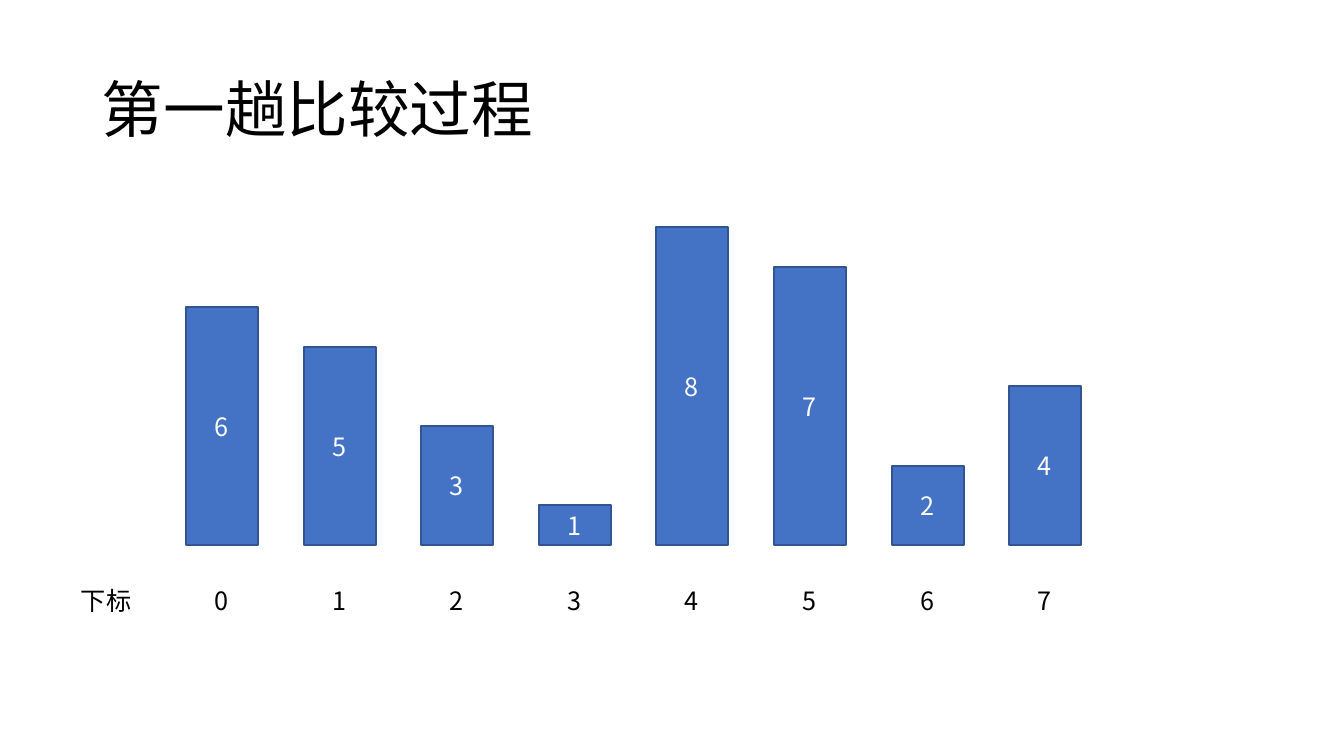
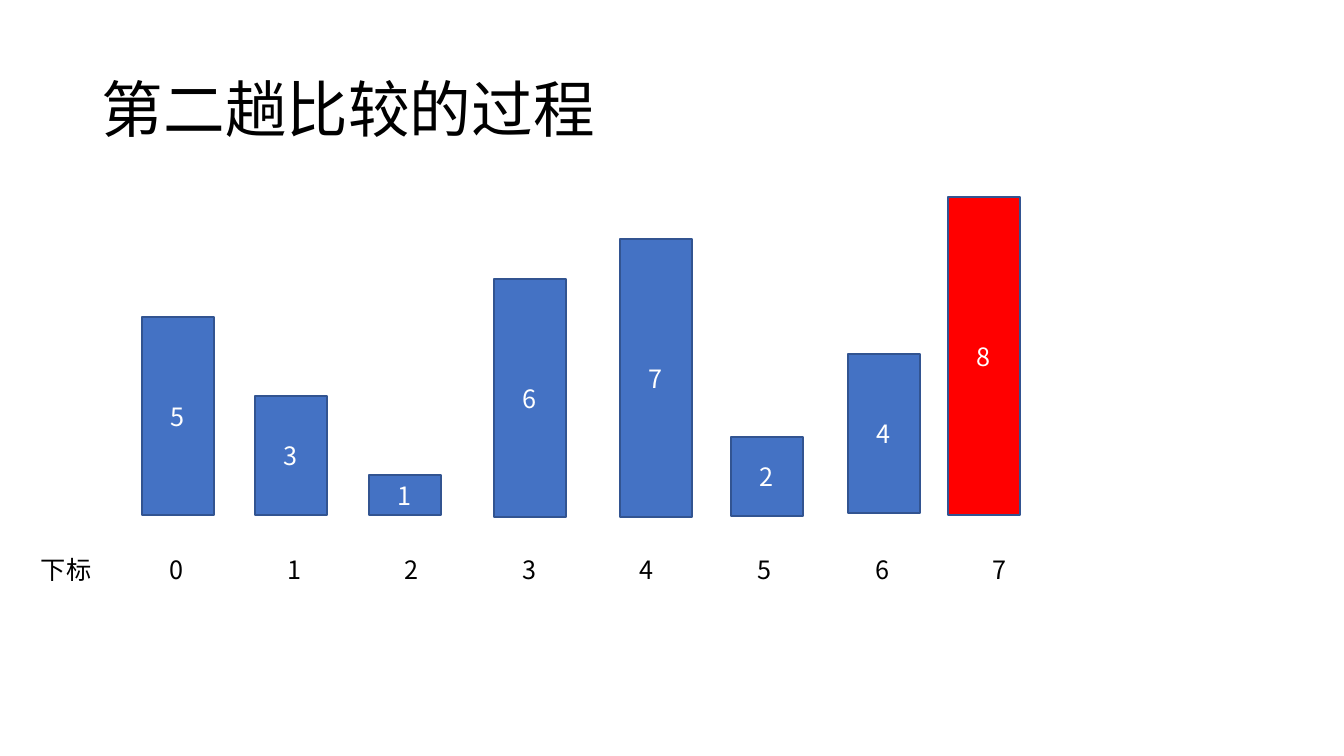
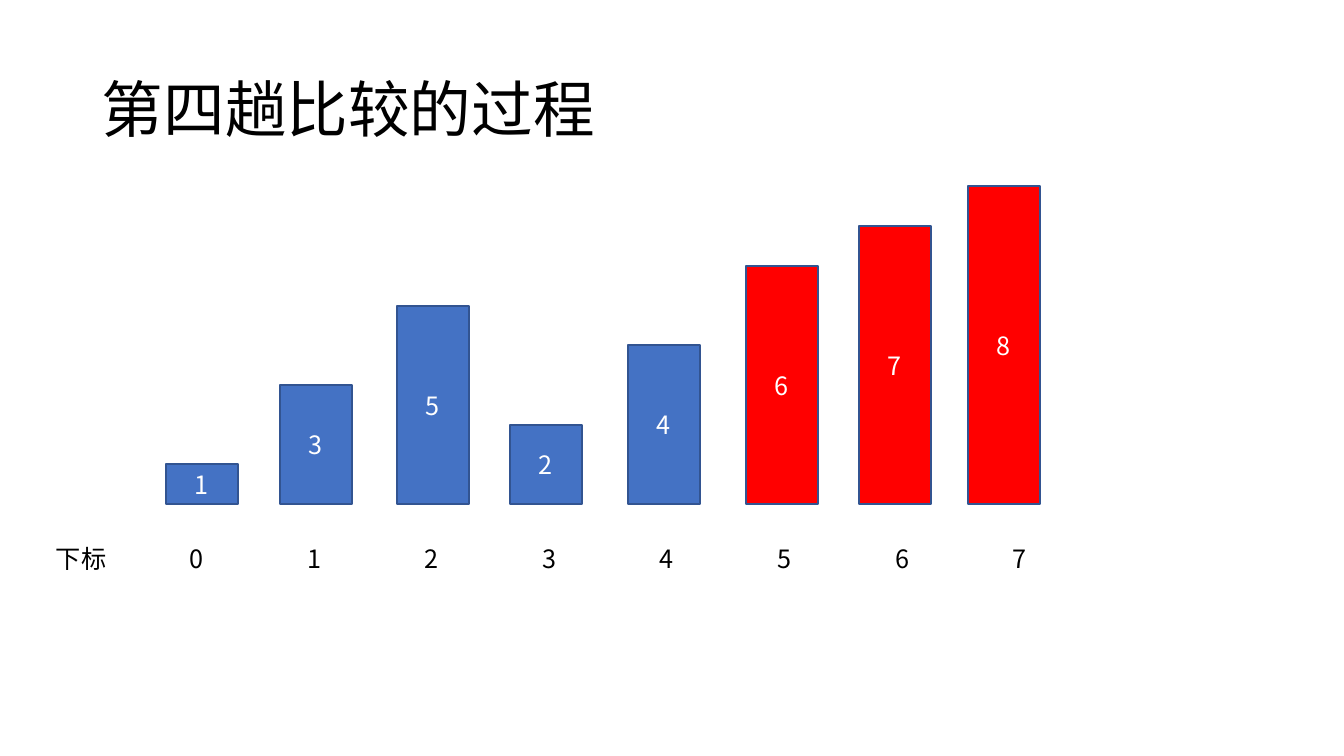
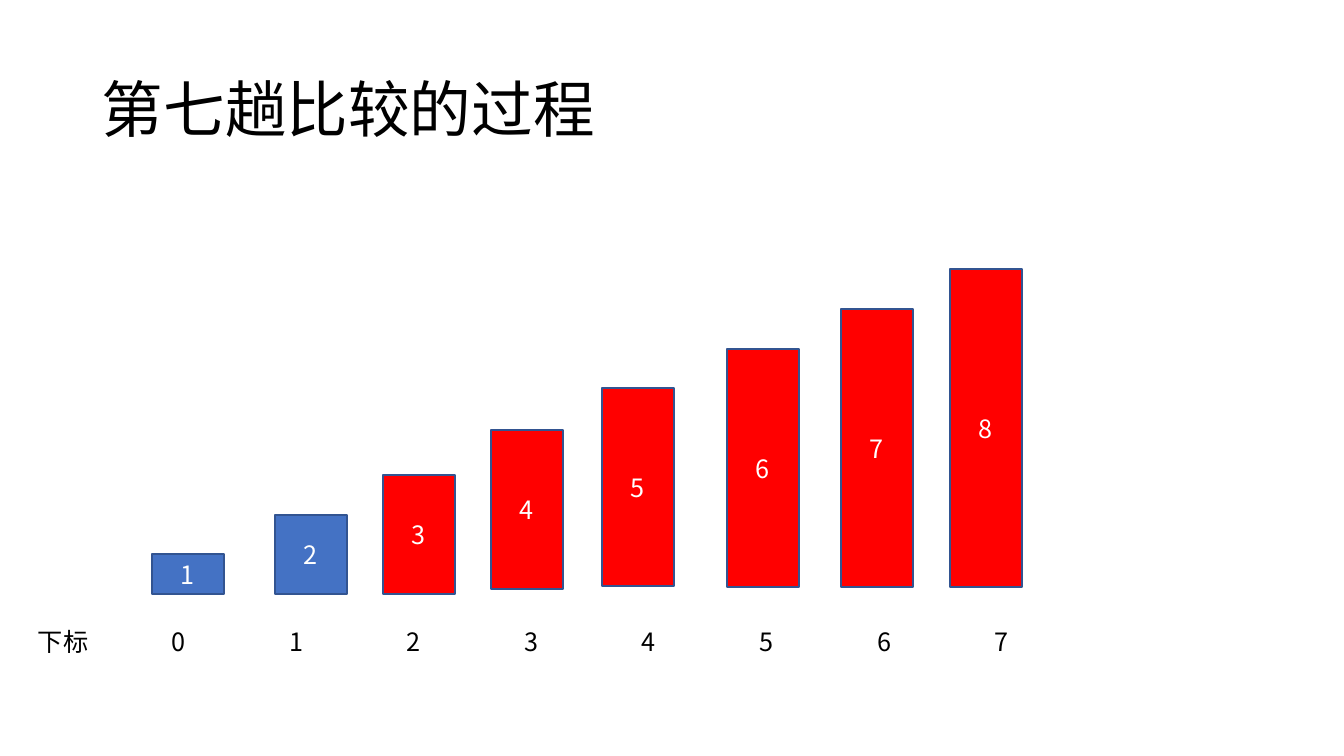
"""Build four slides that show passes of a bubble sort as rows of bars."""
from lxml.etree import SubElement
from pptx import Presentation
from pptx.dml.color import RGBColor
from pptx.enum.shapes import MSO_SHAPE
from pptx.enum.text import MSO_ANCHOR, MSO_AUTO_SIZE, PP_ALIGN
from pptx.oxml.ns import qn
from pptx.util import Pt

PIXEL = 914400 / 100.8
FONT = "Noto Sans CJK SC"
BLACK = RGBColor(0x00, 0x00, 0x00)
WHITE = RGBColor(0xFF, 0xFF, 0xFF)
BLUE = RGBColor(0x44, 0x72, 0xC4)
OUTLINE = RGBColor(0x32, 0x54, 0x91)
RED = RGBColor(0xFF, 0x00, 0x00)

BAR_WIDTH = 72
UNIT_HEIGHT = 39.7
STEP = 117.6
COUNT = 8

PASSES = [
    {"title": "第一趟比较过程", "values": (6, 5, 3, 1, 8, 7, 2, 4), "sorted": 0,
     "lefts": [round(186 + STEP * index) for index in range(COUNT)],
     "bottoms": [545] * COUNT,
     "caption_left": 71, "index_left": 205, "index_top": 580},
    {"title": "第二趟比较的过程", "values": (5, 3, 1, 6, 7, 2, 4, 8), "sorted": 1,
     "lefts": (142, 255, 369, 494, 620, 731, 848, 948),
     "bottoms": (515, 515, 515, 517, 517, 516, 513, 515),
     "caption_left": 31, "index_left": 160, "index_top": 549},
    {"title": "第四趟比较的过程", "values": (1, 3, 5, 2, 4, 6, 7, 8), "sorted": 3,
     "lefts": (166, 280, 397, 510, 628, 746, 859, 968),
     "bottoms": [504] * COUNT,
     "caption_left": 46, "index_left": 180, "index_top": 538},
    {"title": "第七趟比较的过程", "values": (1, 2, 3, 4, 5, 6, 7, 8), "sorted": 6,
     "lefts": (152, 275, 383, 491, 602, 727, 841, 950),
     "bottoms": (594, 594, 594, 589, 586, 587, 587, 587),
     "caption_left": 28, "index_left": 162, "index_top": 621},
]


def write(shape, text, size, color):
    """Put one styled line of text into a shape and return its paragraph."""
    shape.text_frame.text = text
    paragraph = shape.text_frame.paragraphs[0]
    run = paragraph.runs[0]
    run.font.size = Pt(size)
    run.font.color.rgb = color
    run.font.name = FONT
    SubElement(run._r.get_or_add_rPr(), qn("a:ea"), typeface=FONT)
    return paragraph


def add_text(slide, text, left, top, width, height, size=18):
    """Add a black text box and return it with its paragraph."""
    box = slide.shapes.add_textbox(*(round(length * PIXEL) for length in (left, top, width, height)))
    return box, write(box, text, size, BLACK)


presentation = Presentation()
presentation.slide_width = round(1344 * PIXEL)
presentation.slide_height = round(756 * PIXEL)

for sort_pass in PASSES:
    slide = presentation.slides.add_slide(presentation.slide_layouts[6])

    title, paragraph = add_text(slide, sort_pass["title"], 92, 40, 1159, 146, 44)
    title.text_frame.word_wrap = True
    title.text_frame.vertical_anchor = MSO_ANCHOR.MIDDLE
    paragraph.line_spacing = 0.9

    bars = zip(sort_pass["values"], sort_pass["lefts"], sort_pass["bottoms"])
    for index, (value, left, bottom) in enumerate(bars):
        height = round(value * UNIT_HEIGHT)
        bar = slide.shapes.add_shape(
            MSO_SHAPE.RECTANGLE,
            *(round(length * PIXEL) for length in (left, bottom - height, BAR_WIDTH, height)))
        bar.shadow.inherit = False
        bar.fill.solid()
        bar.fill.fore_color.rgb = RED if index >= COUNT - sort_pass["sorted"] else BLUE
        bar.line.color.rgb = OUTLINE
        bar.line.width = Pt(1)
        bar.text_frame.vertical_anchor = MSO_ANCHOR.MIDDLE
        write(bar, str(value), 18, WHITE).alignment = PP_ALIGN.CENTER

    labels = [("下标", sort_pass["caption_left"], 72)]
    labels += [(str(index), round(sort_pass["index_left"] + STEP * index), 34)
               for index in range(COUNT)]
    for text, left, width in labels:
        label, paragraph = add_text(slide, text, left, sort_pass["index_top"], width, 40)
        label.text_frame.word_wrap = False
        label.text_frame.auto_size = MSO_AUTO_SIZE.SHAPE_TO_FIT_TEXT

presentation.save("out.pptx")
